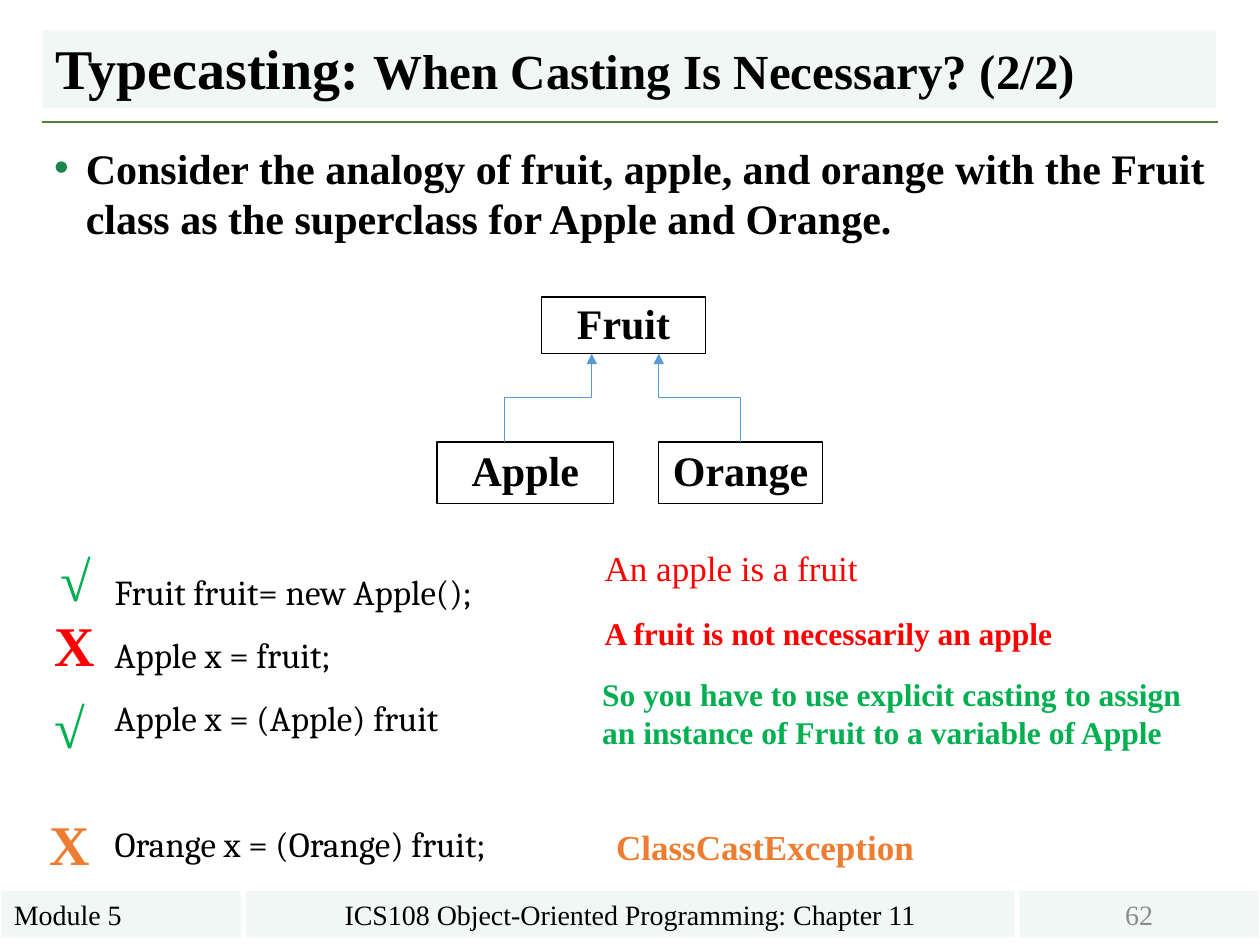
from dataclasses import dataclass

from lxml.etree import SubElement
from pptx import Presentation
from pptx.dml.color import RGBColor
from pptx.enum.shapes import MSO_CONNECTOR, MSO_SHAPE
from pptx.enum.text import MSO_ANCHOR, MSO_AUTO_SIZE, PP_ALIGN
from pptx.oxml.ns import qn
from pptx.util import Cm, Pt


@dataclass(frozen=True)
class Theme:
    """Colours, fonts and type sizes of the slide."""
    black: str = "000000"
    grey: str = "8C8C8C"
    panel: str = "F1F7F4"
    rule: str = "548235"
    bullet: str = "1A864B"
    arrow: str = "5B9BD5"
    red: str = "FF0000"
    green: str = "00B050"
    orange: str = "ED7D31"
    font: str = "Times New Roman"
    code_font: str = "Cambria"
    title: int = 32
    subtitle: int = 28
    body: int = 24
    code: int = 20
    note: int = 18
    footer: int = 16


@dataclass(frozen=True)
class Box:
    """A rectangle in centimetres."""
    x: float
    y: float
    w: float
    h: float

    def inner(self, x, y, w, h):
        """Return a box placed relative to this one."""
        return Box(self.x + x, self.y + y, w, h)

    def emu(self):
        """Return left, top, width and height as lengths."""
        return Cm(self.x), Cm(self.y), Cm(self.w), Cm(self.h)


T = Theme()


def rgb(color):
    """Turn a hex string into a colour."""
    return RGBColor.from_string(color)


def style(tf, size, color=T.black, bold=False, font=T.font):
    """Format every run of a text frame."""
    for p in tf.paragraphs:
        for r in p.runs:
            r.font.name, r.font.size, r.font.bold = font, Pt(size), bold
            r.font.color.rgb = rgb(color)


def add_text(s, box, text, size, color=T.black, bold=True, font=T.font,
             anchor=MSO_ANCHOR.TOP):
    """Add a wrapping text box."""
    tf = s.shapes.add_textbox(*box.emu()).text_frame
    tf.word_wrap, tf.vertical_anchor = True, anchor
    tf.text = text
    style(tf, size, color, bold, font)
    return tf


def add_box(s, box, text, size, color=T.black, bold=False, fill=None,
            align=PP_ALIGN.CENTER):
    """Add a rectangle, either filled or outlined."""
    sp = s.shapes.add_shape(MSO_SHAPE.RECTANGLE, *box.emu())
    sp.shadow.inherit = False
    if fill:
        sp.fill.solid()
        sp.fill.fore_color.rgb = rgb(fill)
        sp.line.fill.background()
    else:
        sp.fill.background()
        sp.line.color.rgb, sp.line.width = rgb(T.black), Pt(0.75)
    tf = sp.text_frame
    tf.text = text
    tf.vertical_anchor = MSO_ANCHOR.MIDDLE
    tf.paragraphs[0].alignment = align
    style(tf, size, color, bold)
    return tf


def add_line(s, kind, x1, y1, x2, y2, color, width):
    """Add a connector without a shadow."""
    c = s.shapes.add_connector(kind, Cm(x1), Cm(y1), Cm(x2), Cm(y2))
    c.line.color.rgb, c.line.width = rgb(color), Pt(width)
    SubElement(c._element.spPr, qn("a:effectLst"))
    return c


def add_riser(s, x1, y1, x2, y2):
    """Add an elbow arrow that leaves and arrives vertically."""
    cx, cy = (x1 + x2) / 2, (y1 + y2) / 2
    side = 1 if x2 > x1 else -1
    dx, dy = side * (y1 - y2) / 2, abs(x2 - x1) / 2
    c = add_line(s, MSO_CONNECTOR.ELBOW, cx + dx, cy + dy, cx - dx, cy - dy, T.arrow, 0.5)
    spPr = c._element.spPr
    spPr.find(qn("a:xfrm")).set("rot", str(90 * side % 360 * 60000))
    SubElement(spPr.find(qn("a:ln")), qn("a:tailEnd"), type="triangle")


def add_title(s, box):
    """Place the two-size title and the rule below it."""
    sp = s.shapes.title
    sp.left, sp.top, sp.width, sp.height = box.emu()
    sp.fill.solid()
    sp.fill.fore_color.rgb = rgb(T.panel)
    tf = sp.text_frame
    tf.text = "Typecasting: "
    tf.auto_size, tf.vertical_anchor = MSO_AUTO_SIZE.NONE, MSO_ANCHOR.BOTTOM
    p = tf.paragraphs[0]
    p.alignment, p.line_spacing = PP_ALIGN.LEFT, 0.9
    r = p.add_run()
    r.text = "When Casting Is Necessary? (2/2)"
    style(tf, T.title, bold=True)
    r.font.size = Pt(T.subtitle)
    y = box.y + 1.85
    add_line(s, MSO_CONNECTOR.STRAIGHT, box.x - 0.02, y, box.x + box.w + 0.05, y, T.rule, 1.5)


def add_body(s, box):
    """Place the bulleted statement."""
    tf = add_text(s, box, "Consider the analogy of fruit, apple, and orange with the "
                  "Fruit class as the superclass for Apple and Orange.", T.body)
    p = tf.paragraphs[0]
    p.space_before = Pt(12)
    pPr = p._p.get_or_add_pPr()
    pPr.set("marL", str(Cm(0.64)))
    pPr.set("indent", str(-Cm(0.64)))
    SubElement(SubElement(pPr, qn("a:buClr")), qn("a:srgbClr"), val=T.bullet)
    SubElement(pPr, qn("a:buFont"), typeface="Arial")
    SubElement(pPr, qn("a:buChar"), char="•")


def add_hierarchy(s, box):
    """Draw the superclass with its two subclasses."""
    low, high = 2.92, 1.14
    for name, x, y, w, h in (("Fruit", 2.11, 0, 3.3, high),
                             ("Orange", 4.47, low, 3.3, 1.24),
                             ("Apple", 0, low, 3.56, 1.24)):
        tf = add_box(s, box.inner(x, y, w, h), name, T.body, bold=True)
        tf.word_wrap = False
        tf.paragraphs[0].line_spacing = 0.93
    for x1, x2 in ((1.35, 3.12), (6.12, 4.47)):
        add_riser(s, box.x + x1, box.y + low, box.x + x2, box.y + high)


def add_examples(s, box):
    """Place the code lines, their verdict marks and the notes."""
    code = ("Fruit fruit= new Apple();", "Apple x = fruit;",
            "Apple x = (Apple) fruit", "Orange x = (Orange) fruit;")
    tf = add_text(s, box.inner(1.32, 0.08, 10.44, 6.68), "\n".join(code), T.code,
                  bold=False, font=T.code_font)
    for p in tf.paragraphs:
        p.line_spacing = 1.5
    tf.paragraphs[-1].space_before = Pt(36)

    for mark, x, y, color in (("√", 0.23, 0, T.green), ("X", 0.1, 1.32, T.red),
                              ("√", 0.1, 2.97, T.green), ("X", 0, 5.33, T.orange)):
        w, h = (1.63, 1.32) if mark == "√" else (1.35, 1.8)
        add_text(s, box.inner(x, y, w, h), mark, T.title, color)

    add_text(s, box.inner(11.2, 0.03, 6.17, 1.3), "An apple is a fruit", T.code, T.red, False)
    add_text(s, box.inner(11.2, 0.99, 9.6, 1.8), "A fruit is not necessarily an apple",
             T.note, T.red, anchor=MSO_ANCHOR.MIDDLE)
    add_text(s, box.inner(11.15, 2.62, 12.65, 1.9), "So you have to use explicit casting to "
             "assign an instance of Fruit to a variable of Apple", T.note, T.green)
    add_text(s, box.inner(11.43, 5.64, 6.73, 1.14), "ClassCastException", T.code, T.orange)


def add_footer(s, box):
    """Place the module, course and page cells."""
    side, gap = 4.83, 0.1
    mid = box.w - 2 * (side + gap)
    x = 0
    for text, w, align, color in (
            ("Module 5", side, PP_ALIGN.LEFT, T.black),
            ("ICS108 Object-Oriented Programming: Chapter 11", mid, PP_ALIGN.CENTER, T.black),
            ("62", side, PP_ALIGN.CENTER, T.grey)):
        add_box(s, box.inner(x, 0, w, box.h), text, T.footer, color, fill=T.panel, align=align)
        x += w + gap


def main():
    """Build and save the slide."""
    prs = Presentation()
    prs.slide_width, prs.slide_height = Cm(25.4), Cm(19.05)
    s = prs.slides.add_slide(prs.slide_layouts[5])
    add_footer(s, Box(0.03, 17.96, 25.35, 0.94))
    add_body(s, Box(0.84, 2.74, 23.72, 14.91))
    add_title(s, Box(0.86, 0.61, 23.65, 1.57))
    add_hierarchy(s, Box(8.81, 5.99, 7.77, 4.16))
    add_examples(s, Box(0.74, 10.87, 23.8, 7.13))
    prs.save("out.pptx")


if __name__ == "__main__":
    main()
